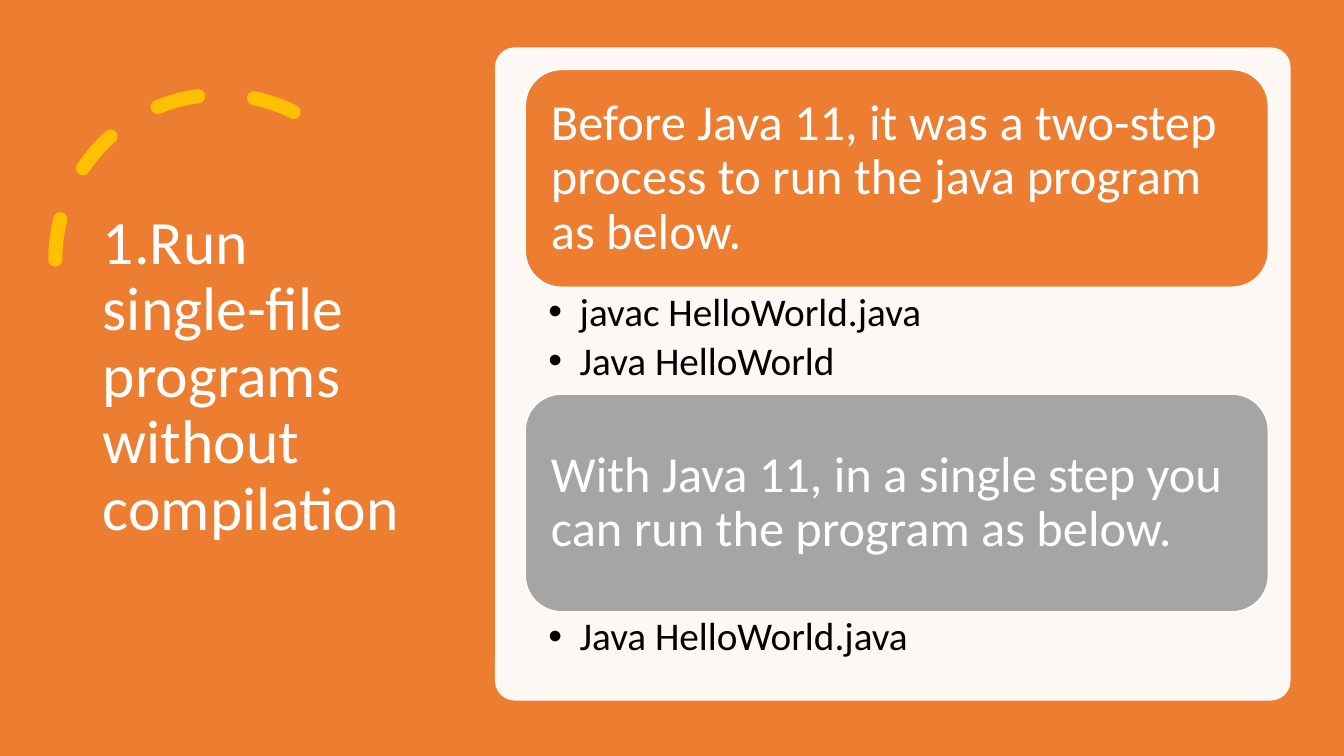
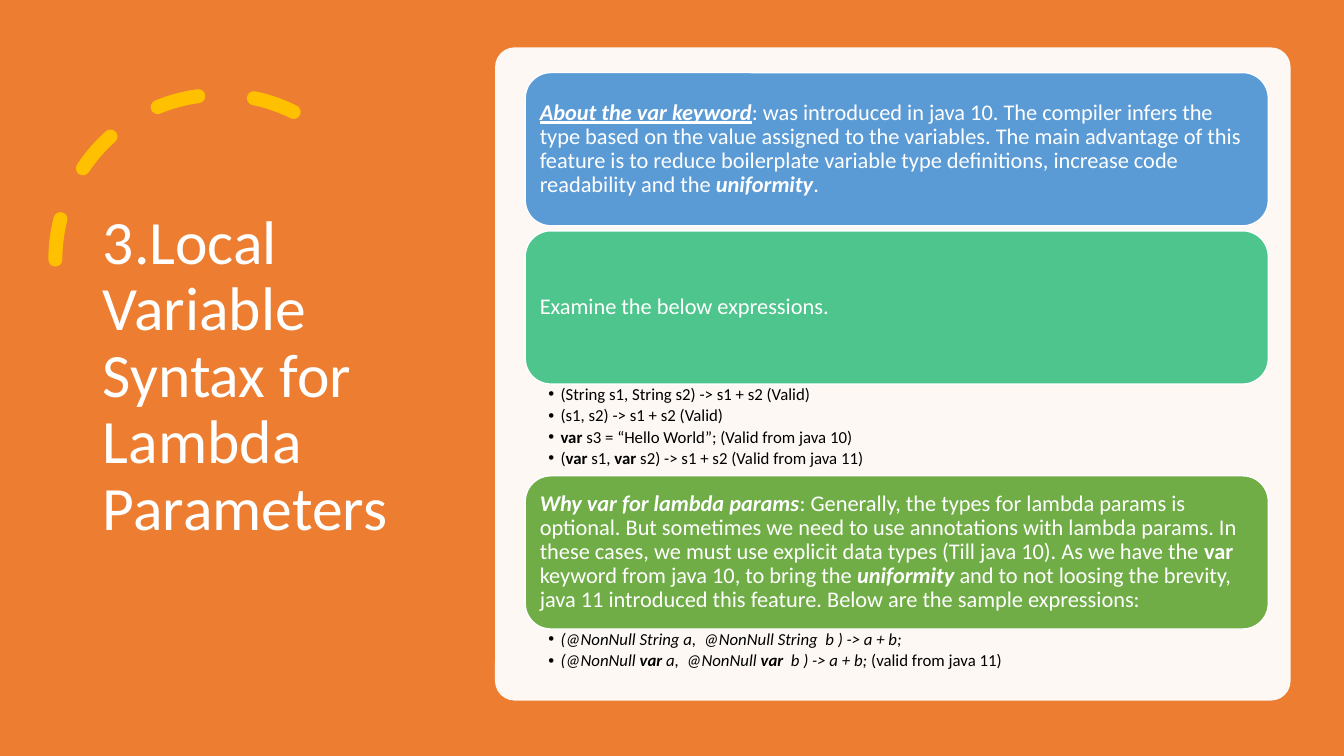
from pptx import Presentation
from pptx.dml.color import RGBColor
from pptx.enum.dml import MSO_LINE
from pptx.enum.shapes import MSO_SHAPE
from pptx.enum.text import MSO_ANCHOR, MSO_AUTO_SIZE, PP_ALIGN
from pptx.oxml.ns import qn
from pptx.util import Inches, Pt
from lxml import etree

ARC, ROUNDED = MSO_SHAPE.ARC, MSO_SHAPE.ROUNDED_RECTANGLE
MIDDLE, TOP, LEFT = MSO_ANCHOR.MIDDLE, MSO_ANCHOR.TOP, PP_ALIGN.LEFT
DASH, NO_FIT = MSO_LINE.DASH, MSO_AUTO_SIZE.NONE

ORANGE = RGBColor(0xED, 0x7D, 0x31)
GOLD = RGBColor(0xFF, 0xC0, 0x00)
GRAY = RGBColor(0xA5, 0xA5, 0xA5)
BLUE = RGBColor(0x5B, 0x9B, 0xD5)
TEAL = RGBColor(0x4D, 0xC5, 0x8D)
GREEN = RGBColor(0x70, 0xAD, 0x47)
WHITE = RGBColor(0xFF, 0xFF, 0xFF)
BLACK = RGBColor(0x00, 0x00, 0x00)

FONT = "Calibri"
SLIDE_WIDTH, SLIDE_HEIGHT = 13.33, 7.5
TITLE_BOX = (0.92, 0.7, 3.23, 6.09)
ARC_BOX = (0.55, 0.94, 3.27, 3.27)
PANEL_BOX = (4.91, 0.47, 7.89, 6.48)
STACK_LEFT, STACK_WIDTH = 5.21, 7.37
CARD_GAP = 0.05
STYLES = {"b": "bold", "i": "italic", "u": "underline"}

# Content: a paragraph is a list of (text, style letters) runs;
# a section is a card (fill, paragraph), then its bullets and their height
SLIDES = [
    {
        "title": "1.Run single-file programs without compilation",
        "top": 0.69, "card_height": 2.16, "card_size": 36, "card_inset": 0.15,
        "list_size": 28, "list_insets": (0.23, 0.05, 0.28, 0.05), "indent": 0.31,
        "sections": [
            (ORANGE, [("Before Java 11, it was a two-step process to run the java "
                       "program as below.", "")],
             [[("javac HelloWorld.java", "")], [("Java HelloWorld", "")]], 1.06),
            (GRAY, [("With Java 11, in a single step you can run the program "
                     "as below.", "")],
             [[("Java HelloWorld.java", "")]], 0.65),
        ],
    },
    {
        "title": "3.Local Variable Syntax for Lambda Parameters",
        "top": 0.72, "card_height": 1.52, "card_size": 16, "card_inset": 0.07,
        "list_size": 12, "list_insets": (0.23, 0.02, 0.12, 0.02), "indent": 0.12,
        "sections": [
            (BLUE, [("About the var keyword", "biu"),
                    (": was introduced in java 10. The compiler infers the type based "
                     "on the value assigned to the variables. The main advantage of "
                     "this feature is to reduce boilerplate variable type definitions, "
                     "increase code readability and the ", ""),
                    ("uniformity", "bi"), (".", "")],
             [], CARD_GAP),
            (TEAL, [("Examine the below expressions.", "")],
             [[("(String s1, String s2) -> s1 + s2 (Valid)", "")],
              [("(s1, s2) -> s1 + s2 (Valid)", "")],
              [("var", "b"), (" s3 = “Hello World”; (Valid from java 10)", "")],
              [("(", ""), ("var", "b"), (" s1, ", ""), ("var", "b"),
               (" s2) -> s1 + s2 (Valid from java 11)", "")]], 0.91),
            (GREEN, [("Why var for lambda params", "bi"),
                     (": Generally, the types for lambda params is optional. But "
                      "sometimes we need to use annotations with lambda params. In "
                      "these cases, we must use explicit data types (Till java 10). "
                      "As we have the ", ""),
                     ("var", "b"), (" keyword from java 10, to bring the ", ""),
                     ("uniformity ", "bi"),
                     ("and to not loosing the brevity, java 11 introduced this "
                      "feature. Below are the sample expressions:", "")],
             [[("(@NonNull String a,  @NonNull String  b ) -> a + b;", "i")],
              [("(@NonNull ", "i"), ("var", "bi"), (" a,  @NonNull ", "i"),
               ("var", "bi"), ("  b ) -> a + b; ", "i"),
               ("(valid from java 11)", "")]], 0.45),
        ],
    },
]


def inches(box):
    return [Inches(value) for value in box]


def add_shape(slide, kind, box, fill=None):
    shape = slide.shapes.add_shape(kind, *inches(box))
    shape.shadow.inherit = False
    if fill is None:
        shape.fill.background()
    else:
        shape.fill.solid()
        shape.fill.fore_color.rgb = fill
    return shape


def set_frame(frame, insets, anchor):
    sides = ("margin_left", "margin_top", "margin_right", "margin_bottom")
    for side, inset in zip(sides, inches(insets)):
        setattr(frame, side, inset)
    frame.word_wrap = True
    frame.auto_size = NO_FIT
    frame.vertical_anchor = anchor


def add_bullet(paragraph, indent):
    properties = paragraph._p.get_or_add_pPr()
    properties.set("marL", str(Inches(indent)))
    properties.set("indent", str(-Inches(indent)))
    etree.SubElement(properties, qn("a:buFont"), typeface="Arial")
    etree.SubElement(properties, qn("a:buChar"), char="•")


def write_paragraphs(frame, paragraphs, size, color, indent=None):
    for index, runs in enumerate(paragraphs):
        paragraph = frame.add_paragraph() if index else frame.paragraphs[0]
        if indent:
            add_bullet(paragraph, indent)
            paragraph.space_after = Pt(round(size * 0.18, 1))
        paragraph.alignment = LEFT
        paragraph.line_spacing = 0.9
        for text, style in runs:
            run = paragraph.add_run()
            run.text = text
            run.font.name, run.font.size = FONT, Pt(size)
            run.font.color.rgb = color
            for letter in style:
                setattr(run.font, STYLES[letter], True)


def add_base(slide, title_text):
    # Background and title
    slide.background.fill.solid()
    slide.background.fill.fore_color.rgb = ORANGE
    title = slide.shapes.title
    title.left, title.top, title.width, title.height = inches(TITLE_BOX)
    set_frame(title.text_frame, (0.1, 0.05, 0.1, 0.05), MIDDLE)
    write_paragraphs(title.text_frame, [[(title_text, "")]], 44, WHITE)

    # Dashed arc with round caps, mirrored
    arc = add_shape(slide, ARC, ARC_BOX)
    arc.adjustments[0], arc.adjustments[1] = 146.13, 0
    arc.line.color.rgb = GOLD
    arc.line.width = Pt(10)
    arc.line.dash_style = DASH
    arc.line._get_or_add_ln().set("cap", "rnd")
    arc._element.spPr.find(qn("a:xfrm")).set("flipH", "1")

    # Slightly transparent panel
    panel = add_shape(slide, ROUNDED, PANEL_BOX, WHITE)
    panel.adjustments[0] = 0.03
    panel.line.fill.background()
    color = panel._element.spPr.find(qn("a:solidFill")).find(qn("a:srgbClr"))
    etree.SubElement(color, qn("a:alpha"), val="95000")


def add_sections(slide, content):
    top = content["top"]
    for fill, text, bullets, list_height in content["sections"]:
        card_box = (STACK_LEFT, top, STACK_WIDTH, content["card_height"])
        card = add_shape(slide, ROUNDED, card_box, fill)
        card.line.color.rgb = WHITE
        card.line.width = Pt(1)
        set_frame(card.text_frame, [content["card_inset"]] * 4, MIDDLE)
        write_paragraphs(card.text_frame, [text], content["card_size"], WHITE)
        top += content["card_height"]
        if bullets:
            list_box = (STACK_LEFT, top, STACK_WIDTH, list_height)
            frame = slide.shapes.add_textbox(*inches(list_box)).text_frame
            set_frame(frame, content["list_insets"], TOP)
            write_paragraphs(frame, bullets, content["list_size"], BLACK,
                             content["indent"])
        top += list_height


def main():
    presentation = Presentation()
    presentation.slide_width = Inches(SLIDE_WIDTH)
    presentation.slide_height = Inches(SLIDE_HEIGHT)
    title_only = presentation.slide_layouts[5]
    for content in SLIDES:
        slide = presentation.slides.add_slide(title_only)
        add_base(slide, content["title"])
        add_sections(slide, content)
    presentation.save("out.pptx")


if __name__ == "__main__":
    main()
